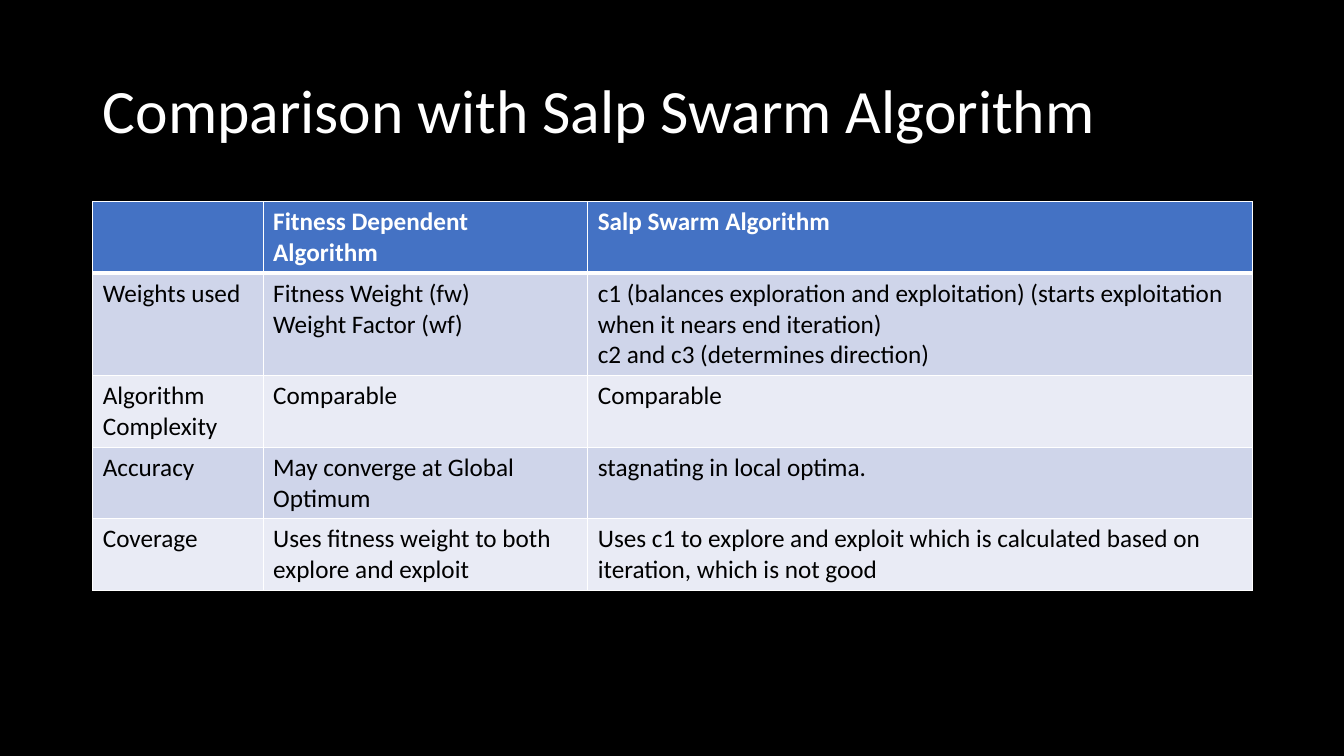
from lxml import etree
from pptx import Presentation
from pptx.dml.color import RGBColor
from pptx.enum.text import MSO_ANCHOR
from pptx.oxml.ns import qn
from pptx.util import Inches, Pt

MIDDLE = MSO_ANCHOR.MIDDLE
TITLE_ONLY = 5
FONT = "Calibri"
COLORS = {
    "background": "000000",
    "light": "FFFFFF",
    "dark": "000000",
    "header": "4472C4",
    "odd": "CFD5EA",
    "even": "E9EBF5",
}
COL_WIDTHS = [1.69, 3.22, 6.59]
ROW_HEIGHT = 0.41
ROWS = [
    ["", "Fitness Dependent Algorithm", "Salp Swarm Algorithm"],
    ["Weights used", "Fitness Weight (fw)\nWeight Factor (wf)",
     "c1 (balances exploration and exploitation) (starts exploitation "
     "when it nears end iteration)\nc2 and c3 (determines direction)"],
    ["Algorithm Complexity", "Comparable", "Comparable"],
    ["Accuracy", "May converge at Global Optimum", "stagnating in local optima."],
    ["Coverage", "Uses fitness weight to both explore and exploit",
     "Uses c1 to explore and exploit which is calculated based on "
     "iteration, which is not good"],
]


def rgb(name):
    return RGBColor.from_string(COLORS[name])


def write(tf, text, size=18, color="dark", bold=False, spacing=None):
    tf.text = text
    for p in tf.paragraphs:
        p.line_spacing = spacing
        p.font.size = Pt(size)
        for r in p.runs:
            r.font.name = FONT
            r.font.size = Pt(size)
            r.font.bold = bold
            r.font.color.rgb = rgb(color)


def set_borders(cell, top=1, bottom=1):
    tcPr = cell._tc.get_or_add_tcPr()
    widths = {"a:lnL": 1, "a:lnR": 1, "a:lnT": top, "a:lnB": bottom}
    for i, (tag, width) in enumerate(widths.items()):
        ln = etree.Element(qn(tag), w=str(Pt(width)))
        fill = etree.SubElement(ln, qn("a:solidFill"))
        etree.SubElement(fill, qn("a:srgbClr"), val=COLORS["light"])
        tcPr.insert(i, ln)


def add_title(s, text, left, top, width, height):
    sp = s.shapes.title
    sp.left, sp.top = Inches(left), Inches(top)
    sp.width, sp.height = Inches(width), Inches(height)
    tf = sp.text_frame
    tf.word_wrap = True
    tf.vertical_anchor = MIDDLE
    write(tf, text, size=44, color="light", spacing=0.9)
    tf.paragraphs[0].alignment = 1


def add_comparison(s, rows, left, top, width, height):
    frame = s.shapes.add_table(len(rows), len(COL_WIDTHS), Inches(left),
                               Inches(top), Inches(width), Inches(height))
    table = frame.table
    for col, share in zip(table.columns, COL_WIDTHS):
        col.width = Inches(width * share / sum(COL_WIDTHS))
    for i, texts in enumerate(rows):
        table.rows[i].height = Inches(ROW_HEIGHT)
        header = i == 0
        band = "header" if header else "odd" if i % 2 else "even"
        for cell, text in zip(table.rows[i].cells, texts):
            cell.fill.solid()
            cell.fill.fore_color.rgb = rgb(band)
            write(cell.text_frame, text, bold=header,
                  color="light" if header else "dark")
            set_borders(cell, top=3 if i == 1 else 1, bottom=3 if header else 1)
    frame.height = Inches(height)


def main():
    prs = Presentation()
    prs.slide_width, prs.slide_height = Inches(13.33), Inches(7.5)
    s = prs.slides.add_slide(prs.slide_layouts[TITLE_ONLY])
    s.background.fill.solid()
    s.background.fill.fore_color.rgb = rgb("background")
    add_title(s, "Comparison with Salp Swarm Algorithm", 0.92, 0.4, 11.5, 1.45)
    add_comparison(s, ROWS, 0.92, 2, 11.5, 3.51)
    prs.save("out.pptx")


if __name__ == "__main__":
    main()
